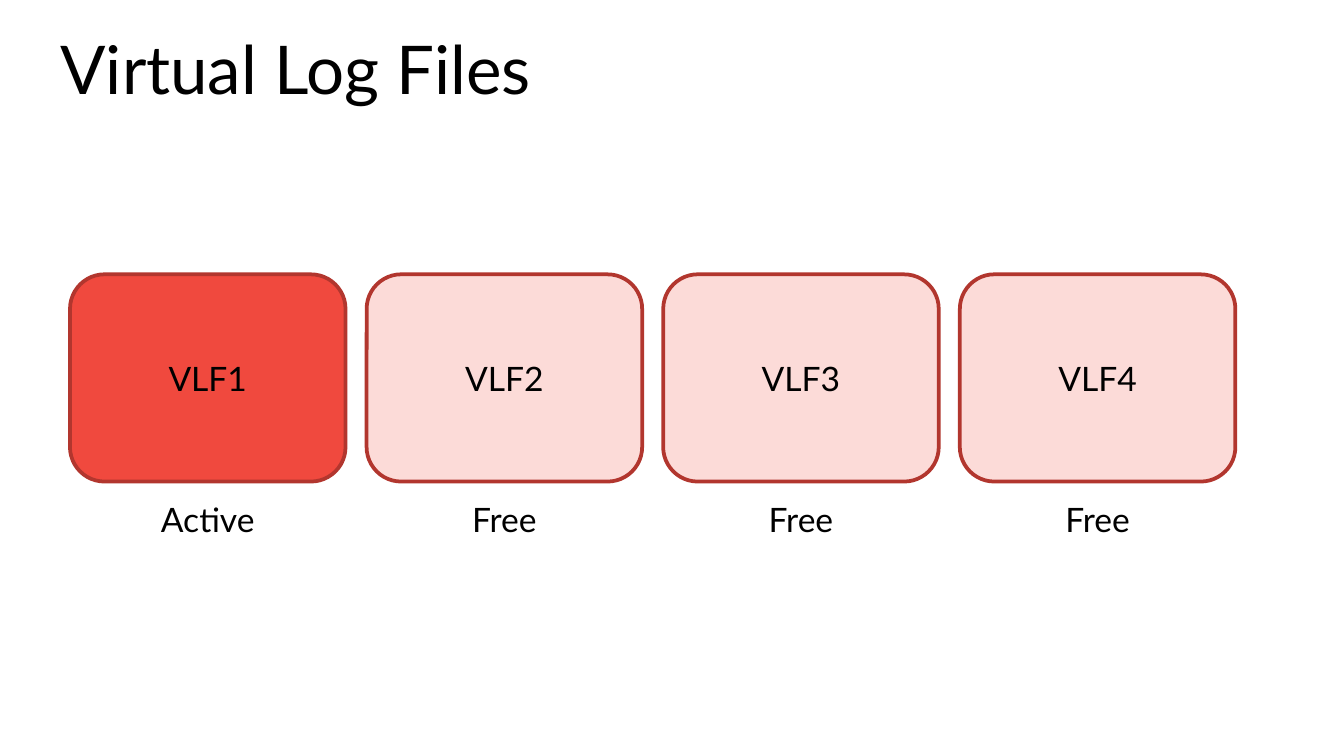
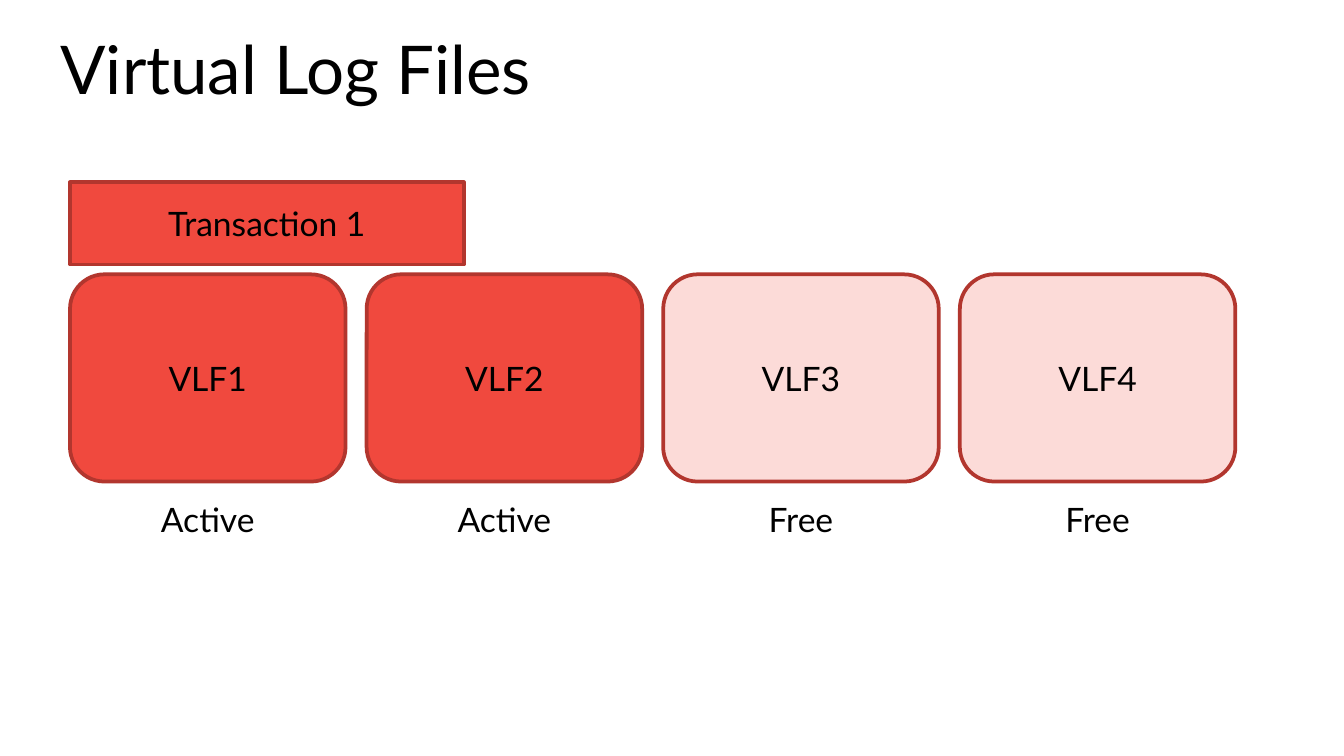
from pptx import Presentation
from pptx.dml.color import RGBColor
from pptx.enum.shapes import MSO_SHAPE
from pptx.enum.text import MSO_ANCHOR, MSO_AUTO_SIZE, PP_ALIGN
from pptx.util import Pt

RECT, ROUND = MSO_SHAPE.RECTANGLE, MSO_SHAPE.ROUNDED_RECTANGLE
TOP, LEFT, CENTER = MSO_ANCHOR.TOP, PP_ALIGN.LEFT, PP_ALIGN.CENTER
NONE, GROW = MSO_AUTO_SIZE.NONE, MSO_AUTO_SIZE.SHAPE_TO_FIT_TEXT

BLACK = RGBColor(0x00, 0x00, 0x00)
RED = RGBColor(0xF0, 0x49, 0x3E)
PINK = RGBColor(0xFC, 0xDB, 0xD8)
EDGE = RGBColor(0xB2, 0x36, 0x2E)
FONT = "Lato"

# Row of log files, in points
X0, STEP = 37.5, 158.9
FILE_Y, FILE_W, FILE_H = 147, 147.6, 111
STATE_Y = 263.5
TEXT_H = 28.8


def write(shape, text, size=18, align=CENTER, fit=GROW, space=None):
    frame = shape.text_frame
    frame.word_wrap = True
    frame.auto_size = fit
    frame.vertical_anchor = TOP
    para = frame.paragraphs[0]
    para.text = text
    para.alignment = align
    if space:
        para.line_spacing = Pt(space)
    font = para.font
    font.name, font.size = FONT, Pt(size)
    font.color.rgb = BLACK


class Deck:
    def __init__(self):
        self.prs = Presentation()
        self.prs.slide_width, self.prs.slide_height = Pt(720), Pt(405)
        self.slide = None

    def start(self, title):
        self.slide = self.prs.slides.add_slide(self.prs.slide_layouts[5])
        head = self.slide.shapes.title
        head.left, head.top = Pt(25.2), Pt(19.4)
        head.width, head.height = Pt(667.4), Pt(48.2)
        write(head, title, size=36, align=LEFT, fit=NONE, space=35)

    def group(self):
        return self.slide.shapes.add_group_shape().shapes

    def label(self, home, text, mid, y, w):
        box = home.add_textbox(Pt(mid - w / 2), Pt(y), Pt(w), Pt(TEXT_H))
        write(box, text)

    def block(self, home, kind, text, x, y, w, h, fill, text_w):
        """Draw an outlined block with its name in the middle."""
        shape = home.add_shape(kind, Pt(x), Pt(y), Pt(w), Pt(h))
        shape.shadow.inherit = False
        shape.fill.solid()
        shape.fill.fore_color.rgb = fill
        shape.line.color.rgb = EDGE
        shape.line.width = Pt(2)
        self.label(home, text, x + w / 2, y + (h - TEXT_H) / 2, text_w)

    def files(self, states):
        home = self.group()
        for i, state in enumerate(states):
            fill = RED if state == "Active" else PINK
            self.block(home, ROUND, f"VLF{i + 1}", X0 + i * STEP, FILE_Y,
                       FILE_W, FILE_H, fill, 108.7)

    def states(self, states):
        home = self.group()
        for i, state in enumerate(states):
            self.label(home, state, X0 + i * STEP + FILE_W / 2, STATE_Y, 75.6)

    def span(self, text, w):
        self.block(self.slide.shapes, RECT, text, X0, 97.7, w, 44, RED, 148.3)


def main():
    deck = Deck()

    # One active file
    states = ["Active", "Free", "Free", "Free"]
    deck.start("Virtual Log Files")
    deck.files(states)
    deck.states(states)

    # A transaction reaches into the second file
    states = ["Active", "Active", "Free", "Free"]
    deck.start("Virtual Log Files")
    deck.files(states)
    deck.span("Transaction 1", 211)
    deck.states(states)

    deck.prs.save("out.pptx")


if __name__ == "__main__":
    main()
